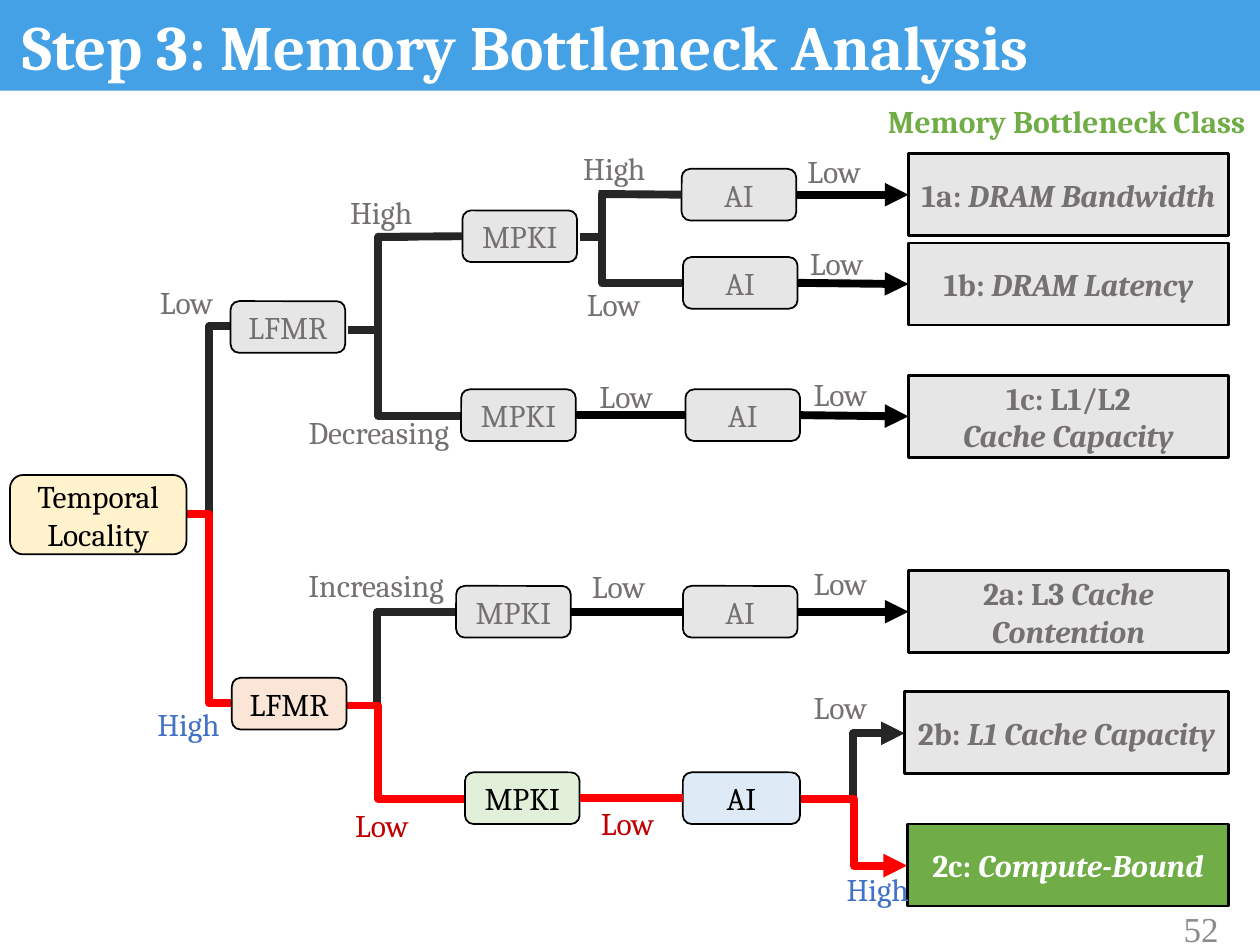
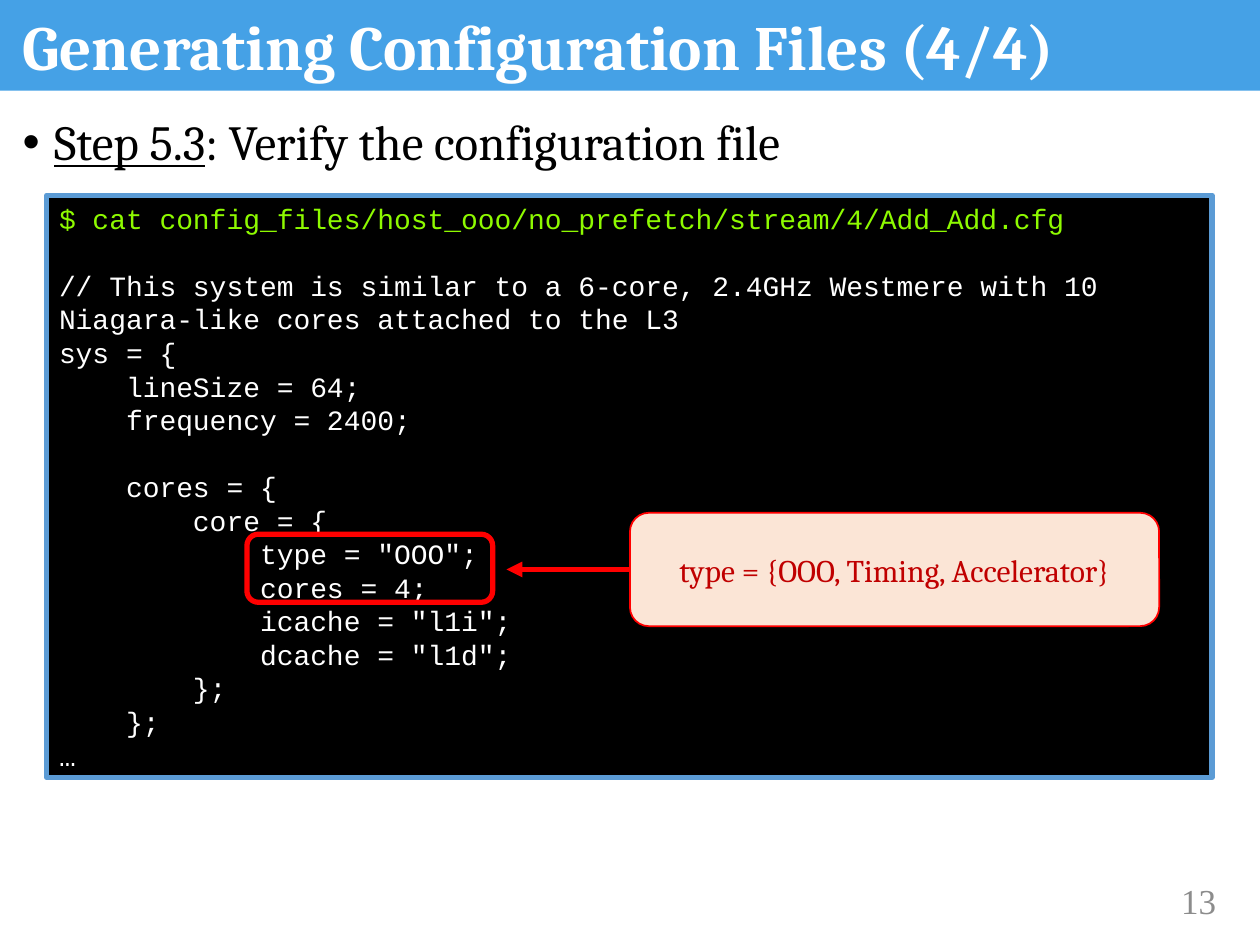
from lxml import etree
from pptx import Presentation
from pptx import util as u
from pptx.dml.color import RGBColor
from pptx.enum import shapes, text
from pptx.oxml.ns import qn

PX = 9144  # EMU in one px, 100 px to the inch
SERIF, MONO, ROMAN = "Cambria", "Courier New", "Times New Roman"
WHITE = RGBColor(0xFF, 0xFF, 0xFF)
BLACK = RGBColor(0x00, 0x00, 0x00)
BLUE = RGBColor(0x45, 0xA1, 0xE6)
FRAME = RGBColor(0x5B, 0x9B, 0xD5)
INK = RGBColor(0x44, 0x72, 0xC4)
RED = RGBColor(0xFF, 0x00, 0x00)
WINE = RGBColor(0xC0, 0x00, 0x00)
DARK = RGBColor(0x26, 0x26, 0x26)
GRAY = RGBColor(0x76, 0x71, 0x71)
PALE = RGBColor(0xE7, 0xE6, 0xE6)
MUTED = RGBColor(0x8C, 0x8C, 0x8C)
GREEN = RGBColor(0x70, 0xAD, 0x47)
LIME = RGBColor(0x8E, 0xFA, 0x00)
CREAM = RGBColor(0xFF, 0xF2, 0xCC)
PEACH = RGBColor(0xFB, 0xE5, 0xD6)
MINT = RGBColor(0xE2, 0xF0, 0xD9)
SKY = RGBColor(0xDE, 0xEB, 0xF7)

RECT = shapes.MSO_SHAPE.RECTANGLE
ROUND = shapes.MSO_SHAPE.ROUNDED_RECTANGLE
LEFT, MID, RIGHT = text.PP_ALIGN.LEFT, text.PP_ALIGN.CENTER, text.PP_ALIGN.RIGHT

LABELS = [
    (117, 220, "Low", GRAY), (115, 555, "High", INK),
    (235, 323, "Decreasing", GRAY), (268, 148, "High", GRAY),
    (453, 113, "High", GRAY), (272, 635, "Low", WINE),
    (235, 444, "Increasing", GRAY), (456, 221, "Low", GRAY),
    (466, 294, "Low", GRAY), (460, 445, "Low", GRAY),
    (467, 633, "Low", WINE), (662, 686, "High", INK),
    (631, 116, "Low", GRAY), (633, 189, "Low", GRAY),
    (636, 293, "Low", GRAY), (636, 443, "Low", GRAY),
    (636, 541, "Low", GRAY),
]
WIDTHS = {"Low": 67, "High": 71, "Decreasing": 145, "Increasing": 133}

CODE = """// This system is similar to a 6-core, 2.4GHz Westmere with 10 Niagara-like cores attached to the L3
sys = {
    lineSize = 64;
    frequency = 2400;

    cores = {
        core = {
            type = "OOO";
            cores = 4;
            icache = "l1i";
            dcache = "l1d";
        };
    };
…"""


def px(*nums):
    return [u.Emu(num * PX) for num in nums]


def add_run(par, words, size, color, face=SERIF, bold=False, italic=False, under=False):
    run = par.add_run()
    run.text = words
    font = run.font
    font.name, font.size, font.color.rgb = face, u.Pt(size), color
    font.bold, font.italic, font.underline = bold, italic, under


def add_box(slide, kind, place, fill=None, line=None, width=1):
    box = slide.shapes.add_shape(kind, *px(*place))
    box.shadow.inherit = False
    if fill is None:
        box.fill.background()
    else:
        box.fill.solid()
        box.fill.fore_color.rgb = fill
    if line is None:
        box.line.fill.background()
    else:
        box.line.color.rgb = line
        box.line.width = u.Pt(width)
    return box


def add_node(slide, place, words, fill=PALE, color=GRAY, line=BLACK):
    node = add_box(slide, ROUND, place, fill, line)
    par = node.text_frame.paragraphs[0]
    par.alignment = MID
    add_run(par, words, 18, color)
    return node


def add_class(slide, place, lines, fill=PALE, color=GRAY):
    """Draw a bottleneck class; each line is a plain and an italic part."""
    box = add_box(slide, RECT, place, fill, BLACK, 1.5)
    for num, (plain, slant) in enumerate(lines):
        frame = box.text_frame
        par = frame.add_paragraph() if num else frame.paragraphs[0]
        par.alignment = MID
        if plain:
            add_run(par, plain, 18, color, bold=True)
        if slant:
            add_run(par, slant, 18, color, bold=True, italic=True)
    return box


def add_text(slide, place, words, size, color, face=SERIF, align=LEFT, bold=False, wrap=True):
    box = slide.shapes.add_textbox(*px(*place))
    frame = box.text_frame
    frame.word_wrap = wrap
    par = frame.paragraphs[0]
    par.alignment = align
    add_run(par, words, size, color, face, bold)
    return box


def add_line(slide, ends, color, width=4.5, arrow=False, bend=None):
    """Draw a straight line, or an elbow that turns at bend percent of its width."""
    kind = shapes.MSO_CONNECTOR.STRAIGHT if bend is None else shapes.MSO_CONNECTOR.ELBOW
    line = slide.shapes.add_connector(kind, *px(*ends))
    line.line.color.rgb = color
    line.line.width = u.Pt(width)
    props = line.element.spPr
    if arrow:
        etree.SubElement(props.find(qn("a:ln")), qn("a:tailEnd"), type="triangle")
    etree.SubElement(props, qn("a:effectLst"))
    if bend is not None:
        geom = props.find(qn("a:prstGeom"))
        for old in geom.findall(qn("a:avLst")):
            geom.remove(old)
        rules = etree.SubElement(geom, qn("a:avLst"))
        etree.SubElement(rules, qn("a:gd"), name="adj1", fmla=f"val {bend * 1000}")
    return line


def join(slide, left, right, color=BLACK, arrow=False):
    line = add_line(slide, (0, 0, 0, 0), color, arrow=arrow)
    line.begin_connect(left, 3)
    line.end_connect(right, 1)


def set_holder(holder, place):
    holder.left, holder.top, holder.width, holder.height = px(*place)
    frame = holder.text_frame
    frame.auto_size = text.MSO_AUTO_SIZE.NONE
    frame.vertical_anchor = text.MSO_ANCHOR.TOP
    par = frame.paragraphs[0]
    par.alignment = LEFT
    par.line_spacing = 0.9
    par.space_before = u.Pt(0)
    return par


def add_band(deck, slide):
    """Draw the title band and move it to the master, behind all else."""
    band = add_box(slide, RECT, (0, 0, 1000, 72), BLUE)
    band.element.nvSpPr.cNvPr.id = 20
    deck.slide_master.shapes.element.insert(2, band.element)


def start_slide(deck, layout, title, page, spot):
    slide = deck.slides.add_slide(deck.slide_layouts[layout])
    par = set_holder(slide.shapes.title, (8, 8, 983, 81))
    add_run(par, title, 36, WHITE, bold=True)
    foot = add_text(slide, (*spot, 108, 40), page, 20, MUTED, ROMAN, RIGHT)
    foot.text_frame.vertical_anchor = text.MSO_ANCHOR.MIDDLE
    return slide


def draw_tree(slide):
    for *ends, bend, color in [
        (148, 408, 184, 259, 50, DARK), (148, 408, 184, 558, 50, RED),
        (276, 262, 324, 188, 50, DARK), (276, 262, 366, 330, 27, DARK),
        (460, 188, 496, 154, 50, DARK), (460, 188, 542, 225, 22, DARK),
        (275, 560, 362, 486, 28, DARK), (275, 560, 369, 634, 27, RED),
    ]:
        add_line(slide, ends, color, bend=bend)
    add_line(slide, (636, 634, 718, 582), DARK, arrow=True, bend=50)
    add_line(slide, (636, 634, 720, 687), RED, arrow=True, bend=50)

    add_node(slide, (8, 377, 140, 63), "Temporal Locality", CREAM, BLACK)
    add_node(slide, (183, 239, 91, 41), "LFMR")
    add_node(slide, (184, 538, 91, 41), "LFMR", PEACH, BLACK)
    rates = [add_node(slide, (x, y, 91, 41), "MPKI")
             for x, y in [(367, 167), (366, 309), (362, 465)]]
    units = [add_node(slide, (x, y, 91, 41), "AI")
             for x, y in [(541, 134), (542, 204), (544, 309), (542, 465)]]
    hot_rate = add_node(slide, (369, 613, 91, 41), "MPKI", MINT, BLACK)
    hot_unit = add_node(slide, (542, 613, 93, 41), "AI", SKY, BLACK)

    classes = [add_class(slide, (721, y, 254, 65), lines) for y, lines in [
        (122, [("1a: ", "DRAM Bandwidth")]),
        (193, [("1b: ", "DRAM Latency")]),
        (298, [("1c: L1/L2", ""), ("", "Cache Capacity")]),
        (453, [("2a: L3 ", "Cache Contention")]),
    ]]
    add_class(slide, (718, 549, 257, 65), [("2b: ", "L1 Cache Capacity")])
    add_class(slide, (720, 654, 255, 65), [("2c: ", "Compute-Bound")], GREEN, WHITE)

    add_line(slide, (299, 188, 367, 188), DARK).end_connect(rates[0], 1)
    add_line(slide, (475, 154, 541, 154), DARK).end_connect(units[0], 1)
    for rate, unit in zip(rates[1:], units[2:]):
        join(slide, rate, unit)
    join(slide, hot_rate, hot_unit, RED)
    for unit, group in zip(units, classes):
        join(slide, unit, group, arrow=True)

    for x, y, words, color in LABELS:
        label = add_text(slide, (x, y, WIDTHS[words], 40), words, 18, color, wrap=False)
        label.text_frame.auto_size = text.MSO_AUTO_SIZE.SHAPE_TO_FIT_TEXT
    add_text(slide, (662, 76, 369, 40), "Memory Bottleneck Class", 18, GREEN,
             align=MID, bold=True)


def add_step(slide):
    par = set_holder(slide.placeholders[1], (8, 89, 983, 592))
    props = par._p.get_or_add_pPr()
    props.set("marL", str(25 * PX))
    props.set("indent", str(-25 * PX))
    etree.SubElement(props, qn("a:buChar"), char="•")
    add_run(par, "Step 5.3", 28, BLACK, under=True)
    add_run(par, ": Verify the configuration file", 28, BLACK)


def add_code(slide):
    """Show the command and its output; an empty code line becomes space before."""
    box = add_box(slide, RECT, (37, 155, 925, 462), BLACK, FRAME, 3)
    frame = box.text_frame
    frame.vertical_anchor = text.MSO_ANCHOR.TOP
    par = frame.paragraphs[0]
    par.alignment = LEFT
    add_run(par, "$ cat config_files/host_ooo/no_prefetch/stream/4/Add_Add.cfg", 16, LIME, MONO)
    gap = True
    for line in CODE.split("\n"):
        if line:
            par = frame.add_paragraph()
            par.alignment = LEFT
            par.space_before = u.Pt(19 if gap else 0)
            add_run(par, line, 16, WHITE, MONO)
        gap = not line


def draw_config(slide):
    add_step(slide)
    add_code(slide)
    add_box(slide, ROUND, (196, 424, 195, 54), line=RED, width=3)
    note = add_node(slide, (500, 407, 420, 90), "type = {OOO, Timing, Accelerator}",
                    PEACH, WINE, RED)
    add_line(slide, (500, 452, 402, 452), RED, 3, arrow=True).begin_connect(note, 1)


def main():
    deck = Presentation()
    deck.slide_width, deck.slide_height = px(1000, 750)
    tree = start_slide(deck, 5, "Step 3: Memory Bottleneck Analysis", "52", (869, 717))
    add_band(deck, tree)
    draw_tree(tree)
    config = start_slide(deck, 1, "Generating Configuration Files (4/4)", "13", (867, 695))
    draw_config(config)
    deck.save("out.pptx")


if __name__ == "__main__":
    main()
